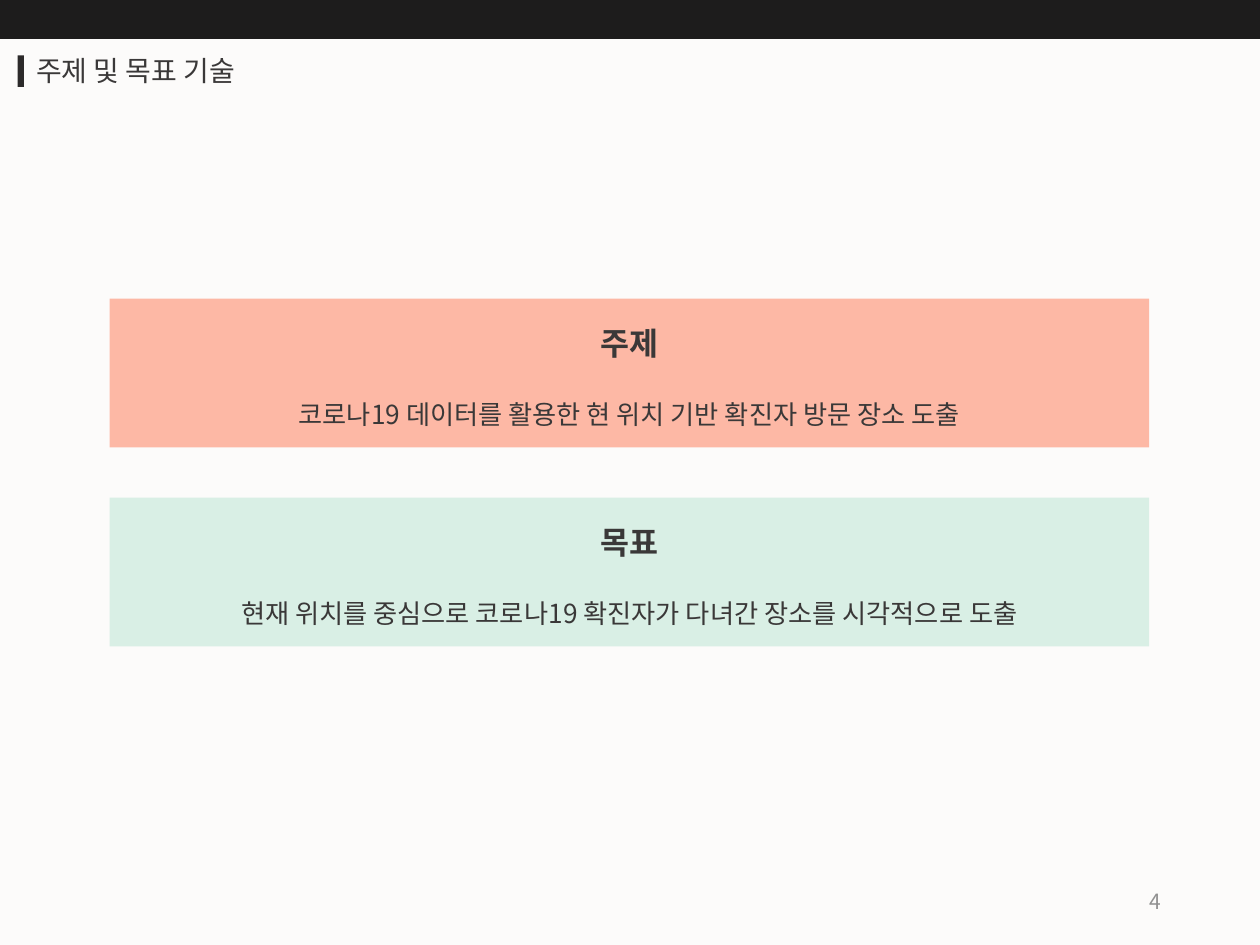
from dataclasses import dataclass

from lxml import etree
from pptx import Presentation
from pptx.dml.color import RGBColor
from pptx.enum.shapes import MSO_SHAPE
from pptx.enum.text import MSO_ANCHOR, PP_ALIGN
from pptx.oxml.ns import qn
from pptx.util import Inches, Pt

RECT = MSO_SHAPE.RECTANGLE
TOP, MIDDLE = MSO_ANCHOR.TOP, MSO_ANCHOR.MIDDLE
LEFT, CENTER, RIGHT = PP_ALIGN.LEFT, PP_ALIGN.CENTER, PP_ALIGN.RIGHT


@dataclass(frozen=True)
class Theme:
    font: str = "Noto Sans CJK KR"
    background: str = "FCFBFA"
    band: str = "1D1C1C"
    marker: str = "2C2A2A"
    text: str = "3A3838"
    muted: str = "919191"
    topic: str = "FDB8A5"
    goal: str = "D9EFE5"
    title_size: int = 16
    heading_size: int = 18
    body_size: int = 15
    number_size: int = 12


theme = Theme()


def add_rect(x, y, w, h, color):
    sp = s.shapes.add_shape(RECT, Inches(x), Inches(y), Inches(w), Inches(h))
    sp.shadow.inherit = False
    sp.fill.solid()
    sp.fill.fore_color.rgb = RGBColor.from_string(color)
    sp.line.fill.background()
    return sp


def format_paragraph(p, size, color, align, bold=False):
    p.alignment = align
    for r in p.runs:
        r.font.name = theme.font
        r.font.size = Pt(size)
        r.font.bold = bold
        r.font.color.rgb = RGBColor.from_string(color)
        ea = etree.SubElement(r.font._element, qn("a:ea"))
        ea.set("typeface", theme.font)


prs = Presentation()
prs.slide_width, prs.slide_height = Inches(10), Inches(7.5)
s = prs.slides.add_slide(prs.slide_layouts[6])
s.background.fill.solid()
s.background.fill.fore_color.rgb = RGBColor.from_string(theme.background)

add_rect(0, 0, 10, 0.31, theme.band)
add_rect(0.14, 0.44, 0.05, 0.25, theme.marker)

labels = [
    ("주제 및 목표 기술", 0.19, 0.38, 3.84, 0.37, theme.title_size, theme.text, LEFT, TOP),
    ("4", 7.06, 6.95, 2.25, 0.4, theme.number_size, theme.muted, RIGHT, MIDDLE),
]
for text, x, y, w, h, size, color, align, anchor in labels:
    tf = s.shapes.add_textbox(Inches(x), Inches(y), Inches(w), Inches(h)).text_frame
    tf.word_wrap = True
    tf.vertical_anchor = anchor
    tf.text = text
    format_paragraph(tf.paragraphs[0], size, color, align)

cards = [
    ("주제", "코로나19 데이터를 활용한 현 위치 기반 확진자 방문 장소 도출", theme.topic),
    ("목표", "현재 위치를 중심으로 코로나19 확진자가 다녀간 장소를 시각적으로 도출", theme.goal),
]
for i, (heading, body, color) in enumerate(cards):
    tf = add_rect(0.87, 2.37 + i * 1.58, 8.25, 1.18, color).text_frame
    tf.word_wrap = True
    tf.vertical_anchor = TOP
    tf.text = f"{heading}\n{body}"
    title, detail = tf.paragraphs
    format_paragraph(title, theme.heading_size, theme.text, CENTER, bold=True)
    format_paragraph(detail, theme.body_size, theme.text, CENTER)
    title.line_spacing = detail.line_spacing = 1.5
    detail.space_before = Pt(12)

prs.save("out.pptx")
